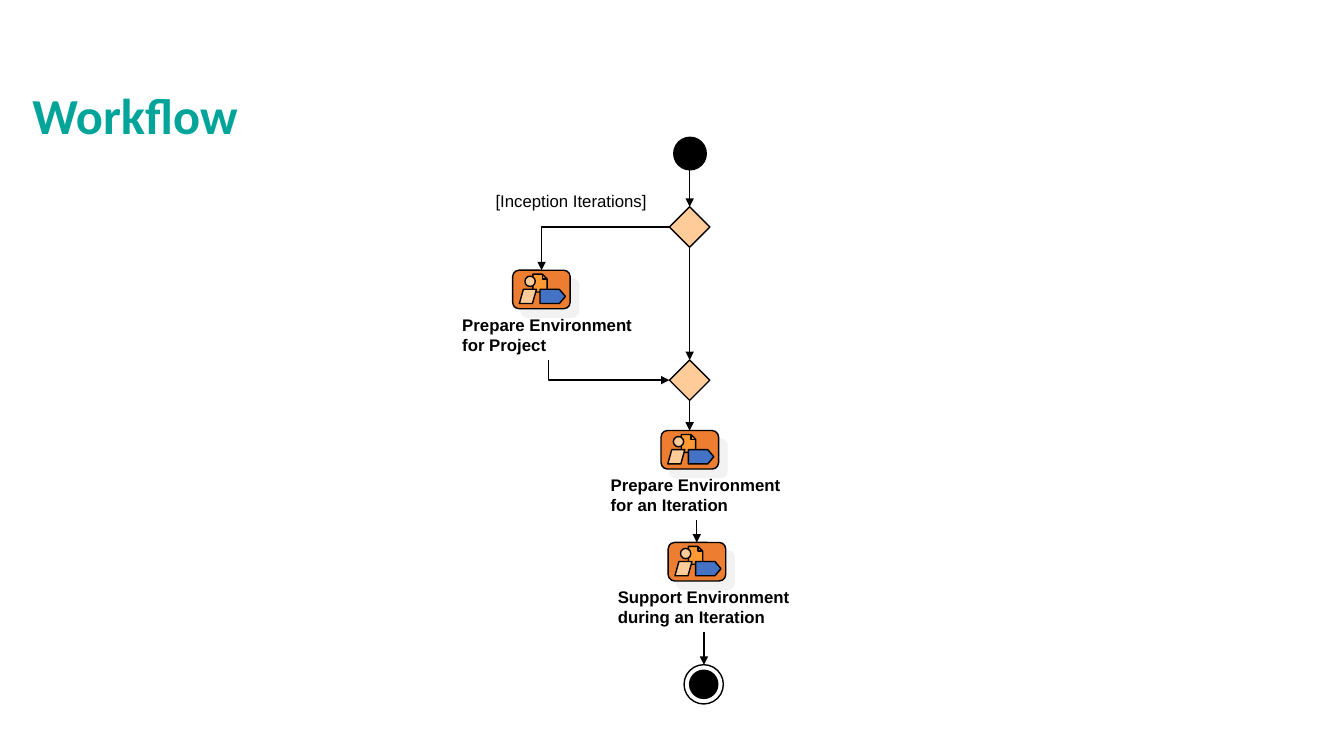
from dataclasses import dataclass

from lxml.etree import SubElement
from pptx import Presentation
from pptx.dml.color import RGBColor
from pptx.enum.shapes import MSO_CONNECTOR as LINK, MSO_SHAPE as SHAPE
from pptx.enum.text import MSO_ANCHOR, MSO_AUTO_SIZE, PP_ALIGN
from pptx.oxml.ns import qn
from pptx.util import Cm, Pt


@dataclass(frozen=True)
class Theme:
    title: str = "00A499"
    ink: str = "000000"
    sand: str = "FFCC99"
    activity: str = "ED7D31"
    document: str = "FF9933"
    process: str = "4472C4"
    shadow: str = "E7E6E6"
    title_font: str = "Calibri"
    body_font: str = "Arial"
    title_size: int = 36
    body_size: int = 12
    line_width: int = 1


THEME = Theme()
AXIS = 17.38  # centre line of the decision column
DIAMOND = 1.02
ICON_W, ICON_H = 1.45, 0.97
CAPTION_W, CAPTION_H = 4.95, 1.27


def rgb(value):
    return RGBColor.from_string(value)


def write(tf, text, font=THEME.body_font, size=THEME.body_size,
          color=THEME.ink, bold=False, spacing=None):
    """Fill a text frame, one paragraph per line of text."""
    for i, line in enumerate(text.split("\n")):
        p = tf.paragraphs[0] if i == 0 else tf.add_paragraph()
        p.alignment = PP_ALIGN.LEFT
        if spacing:
            p.line_spacing = spacing
        r = p.add_run()
        r.text = line
        r.font.name, r.font.size, r.font.bold = font, Pt(size), bold
        r.font.color.rgb = rgb(color)


def style(sp, fill=None):
    sp.shadow.inherit = False
    if fill:
        sp.fill.solid()
        sp.fill.fore_color.rgb = rgb(fill)
    else:
        sp.fill.background()
    sp.line.color.rgb = rgb(THEME.ink)
    sp.line.width = Pt(THEME.line_width)
    return sp


def add_shape(shapes, kind, x, y, w, h, fill=None, adj=None):
    sp = style(shapes.add_shape(kind, Cm(x), Cm(y), Cm(w), Cm(h)), fill)
    if adj is not None:
        sp.adjustments[0] = adj
    return sp


def add_outline(shapes, points, fill=None, close=False):
    points = [(Cm(x), Cm(y)) for x, y in points]
    builder = shapes.build_freeform(*points[0])
    builder.add_line_segments(points[1:], close=close)
    return style(builder.convert_to_shape(), fill)


def add_text(shapes, text, x, y, w, h, **fmt):
    tf = shapes.add_textbox(Cm(x), Cm(y), Cm(w), Cm(h)).text_frame
    tf.word_wrap = False
    tf.auto_size = MSO_AUTO_SIZE.SHAPE_TO_FIT_TEXT
    write(tf, text, **fmt)


def drop_shadow(sp):
    effects = sp._element.spPr.find(qn("a:effectLst"))
    shadow = SubElement(effects, qn("a:outerShdw"), dist=str(Pt(8.5)),
                        dir="2700000", algn="ctr", rotWithShape="0")
    color = SubElement(shadow, qn("a:srgbClr"), val=THEME.shadow)
    SubElement(color, qn("a:alpha"), val="50000")


def add_arrow(shapes, start, end, arrow="tailEnd", corner=False):
    """Draw a link; a corner runs level from start, then upright to end."""
    kind = LINK.ELBOW if corner else LINK.STRAIGHT
    link = shapes.add_connector(kind, *(Cm(v) for v in start + end))
    link.line.color.rgb = rgb(THEME.ink)
    link.line.width = Pt(THEME.line_width)
    spPr = link._element.spPr
    if corner:
        spPr.find(qn("a:prstGeom")).set("prst", "bentConnector2")
    SubElement(spPr.find(qn("a:ln")), qn(f"a:{arrow}"), type="triangle")
    SubElement(spPr, qn("a:effectLst"))


def add_activity(shapes, caption, x, y):
    """Draw the activity icon with its top left at x, y and a caption below."""
    icon = shapes.add_group_shape().shapes
    drop_shadow(add_shape(icon, SHAPE.ROUNDED_RECTANGLE, x, y, ICON_W, ICON_H,
                          THEME.activity, 0.167))
    left, top, right, bottom = x + 0.51, y + 0.1, x + 0.87, y + 0.55
    fold = 0.12
    notch = [(right - fold, top), (right, top + fold)]
    add_outline(icon, [(left, top), (left, bottom), (right, bottom),
                       notch[1], notch[0]], THEME.document, close=True)
    add_outline(icon, [notch[0], (right - fold, top + fold), notch[1]])
    add_shape(icon, SHAPE.PARALLELOGRAM, x + 0.17, y + 0.48, 0.43, 0.36,
              THEME.sand, 0.279)
    add_shape(icon, SHAPE.OVAL, x + 0.31, y + 0.15, 0.26, 0.26, THEME.sand)
    add_shape(icon, SHAPE.PENTAGON, x + 0.69, y + 0.48, 0.64, 0.36,
              THEME.process, 0.427)
    add_text(shapes, caption, x - 1.52, y + 0.99, CAPTION_W, CAPTION_H,
             bold=True)


def add_title(slide, text):
    sp = slide.shapes.title
    sp.left, sp.top, sp.width, sp.height = Cm(0.56), Cm(1.83), Cm(32.77), Cm(1.96)
    sp.text_frame.vertical_anchor = MSO_ANCHOR.BOTTOM
    write(sp.text_frame, text, font=THEME.title_font, size=THEME.title_size,
          color=THEME.title, bold=True, spacing=0.9)


def main():
    prs = Presentation()
    prs.slide_width, prs.slide_height = Cm(33.87), Cm(19.05)
    slide = prs.slides.add_slide(prs.slide_layouts[5])
    shapes = slide.shapes
    add_title(slide, "Workflow")

    add_shape(shapes, SHAPE.OVAL, 16.98, 3.46, 0.82, 0.82, THEME.ink)
    add_shape(shapes, SHAPE.OVAL, 17.38, 16.89, 0.71, 0.71, THEME.ink)
    add_shape(shapes, SHAPE.OVAL, 17.24, 16.75, 0.99, 0.99)
    for y in (5.21, 9.07):
        add_shape(shapes, SHAPE.DIAMOND, AXIS - DIAMOND / 2, y,
                  DIAMOND, DIAMOND, THEME.sand)
    add_text(shapes, "[Inception Iterations]", 12.24, 4.68, 4.32, 0.76)

    for caption, x, y in (
        ("Prepare Environment\nfor Project", 12.92, 6.81),
        ("Prepare Environment\nfor an Iteration", 16.66, 10.85),
        ("Support Environment\nduring an Iteration", 16.84, 13.67),
    ):
        add_activity(shapes, caption, x, y)

    for x, top, bottom in ((AXIS, 4.28, 5.21), (AXIS, 6.23, 9.07),
                           (AXIS, 10.09, 10.85), (17.56, 13.11, 13.67),
                           (17.74, 15.93, 16.75)):
        add_arrow(shapes, (x, top), (x, bottom))
    add_arrow(shapes, (16.87, 5.72), (13.65, 6.81), corner=True)
    add_arrow(shapes, (16.87, 9.58), (13.82, 9.07), arrow="headEnd", corner=True)

    prs.save("out.pptx")


if __name__ == "__main__":
    main()
